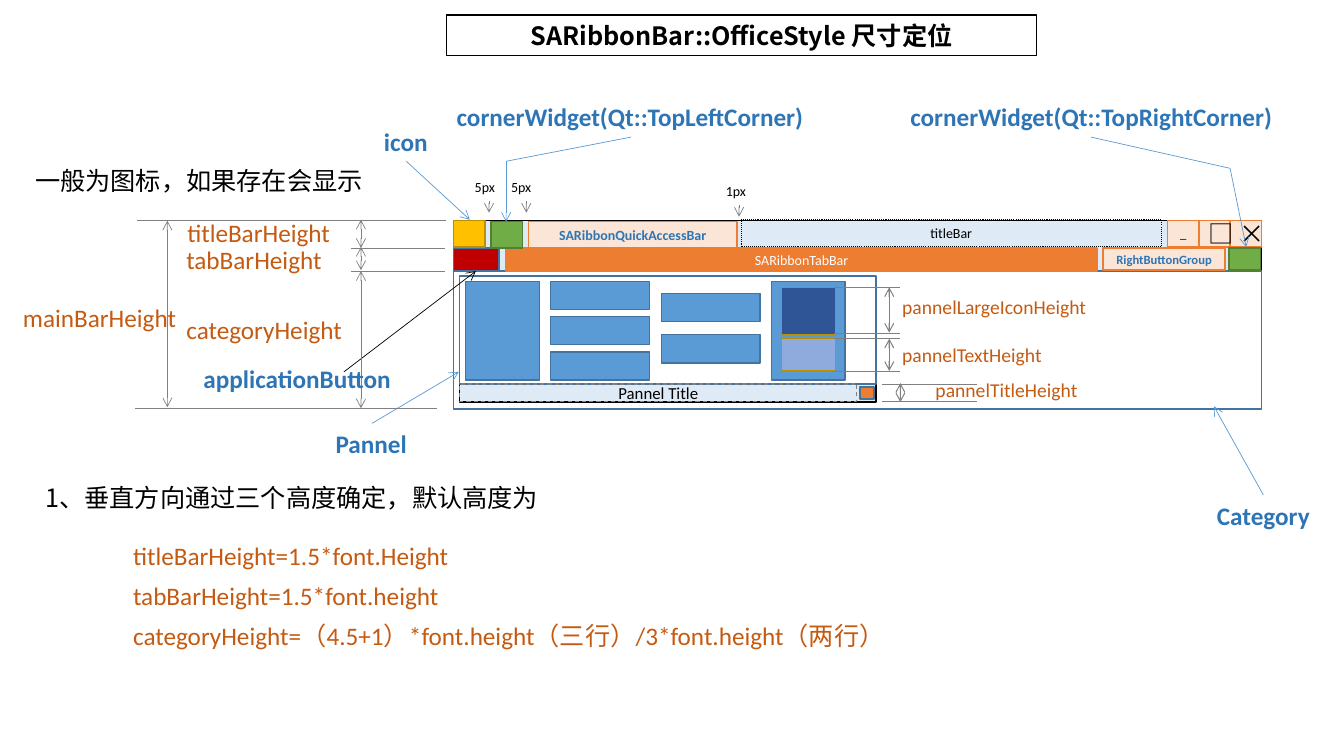
"""Builds the slide that explains the dimensions of SARibbonBar::OfficeStyle."""
from dataclasses import dataclass
from typing import Optional

from lxml.etree import SubElement
from pptx import Presentation
from pptx.dml.color import RGBColor
from pptx.enum.dml import MSO_LINE as Dash
from pptx.enum.shapes import MSO_CONNECTOR as Conn, MSO_SHAPE as Shape
from pptx.enum.text import MSO_ANCHOR as Anchor, MSO_AUTO_SIZE as AutoSize, PP_ALIGN as Align
from pptx.oxml.ns import qn
from pptx.util import Inches, Pt


@dataclass(frozen=True)
class Style:
    size: float
    color: str
    bold: bool = False
    font: str = "Calibri"


@dataclass(frozen=True)
class Theme:
    cjk: str = "Noto Sans CJK SC"
    black: str = "000000"
    white: str = "FFFFFF"
    gray: str = "808080"
    sky: str = "DEEBF7"
    blue: str = "5B9BD5"
    edge: str = "43739E"
    orange: str = "ED7D31"
    peach: str = "FBE5D6"
    red: str = "C00000"
    green: str = "70AD47"
    green_edge: str = "538035"
    gold: str = "FFC000"
    gold_edge: str = "BD8E00"
    navy: str = "2F5597"
    lilac: str = "8FAADC"
    title: Style = Style(18, "000000", True, "Noto Sans CJK SC")
    note: Style = Style(18, "000000", False, "Noto Sans CJK SC")
    callout: Style = Style(18, "2E75B6", True)
    height: Style = Style(18, "C55A11")
    pannel: Style = Style(14, "C55A11")
    gap: Style = Style(10, "000000")
    bar: Style = Style(10, "2E75B6", True)
    group: Style = Style(9, "2E75B6", True)
    tab: Style = Style(10, "FFFFFF")
    caption: Style = Style(12, "000000")
    minimize: Style = Style(9, "000000")


T = Theme()


@dataclass(frozen=True)
class Box:
    x: float
    y: float
    w: float
    h: float
    fill: Optional[str]
    line: str
    text: str = ""
    style: Style = T.gap
    weight: float = 1
    dash: Optional[Dash] = None


@dataclass(frozen=True)
class Label:
    x: float
    y: float
    w: float
    text: str
    style: Style
    h: float = 0.4


@dataclass(frozen=True)
class Line:
    x1: float
    y1: float
    x2: float
    y2: float
    color: str = T.gray
    ends: tuple = ()
    weight: float = 0.5


TO, BOTH = ("tailEnd",), ("headEnd", "tailEnd")

BOXES = [
    Box(4.5, 2.19, 8.01, 1.86, T.sky, T.black),
    Box(4.5, 2.69, 8.01, 1.37, T.white, T.edge),
    Box(4.5, 2.46, 0.45, 0.23, T.red, T.edge),
    Box(5.02, 2.46, 5.86, 0.23, T.orange, T.orange, "SARibbonTabBar", T.tab),
    Box(5.24, 2.2, 2.07, 0.26, T.peach, T.orange, "SARibbonQuickAccessBar", T.bar),
    *[Box(11.58 + 0.31 * i, 2.19, 0.31, 0.26, T.peach, T.orange, sign, style)
      for i, (sign, style) in reversed(list(enumerate(
          [("_", T.minimize), ("□", T.note), ("×", T.note)])))],
    Box(7.35, 2.18, 4.17, 0.27, None, T.black, "titleBar", T.gap, 0.75, Dash.ROUND_DOT),
    Box(4.56, 2.74, 4.13, 1.25, T.sky, T.black),
    Box(4.56, 2.74, 4.13, 1.07, T.white, T.edge),
    Box(8.53, 3.84, 0.14, 0.12, T.orange, T.edge),
    *[Box(x, 2.79, 0.73, 0.98, T.blue, T.edge) for x in (4.62, 7.65)],
    *[Box(x, top + step * i, 0.98, 0.28, T.blue, T.edge)
      for x, top, step, count in ((5.46, 2.79, 0.35, 3), (6.56, 2.91, 0.41, 2))
      for i in range(count)],
    Box(4.56, 3.81, 3.94, 0.17, None, T.gray, "Pannel Title", T.caption, 0.75, Dash.DASH),
    Box(4.5, 2.19, 0.31, 0.26, T.gold, T.gold_edge),
    Box(4.87, 2.2, 0.31, 0.26, T.green, T.green_edge),
    Box(12.19, 2.46, 0.31, 0.22, T.green, T.green_edge),
    Box(10.94, 2.46, 1.21, 0.22, T.peach, T.orange, "RightButtonGroup", T.group),
    Box(7.75, 2.85, 0.54, 0.47, T.navy, T.gold_edge),
    Box(7.75, 3.36, 0.54, 0.32, T.lilac, T.gold_edge),
]

LINES = [
    Line(12.53, 4.91, 12.04, 4.03, T.blue, TO),
    Line(3.41, 3.69, 4.72, 2.69, T.black, TO),
    Line(3.69, 4.2, 4.55, 3.69, T.blue, TO),
    Line(4.03, 1.6, 4.66, 2.18, T.blue, TO),
    Line(6.26, 1.36, 5.02, 1.6, T.blue),
    Line(5.02, 1.6, 5.02, 2.2, T.blue, TO),
    Line(10.82, 1.36, 12.2, 1.67, T.blue),
    Line(12.2, 1.67, 12.36, 2.45, T.blue, TO),
    *[Line(x, y, x, y + 0.12, ends=TO) for x, y in ((4.85, 1.99), (5.22, 1.99), (7.33, 2.03))],
    *[Line(left, y, right, y) for left, right, y in (
        (1.36, 4.42, 2.19), (3.48, 4.41, 2.46), (3.48, 4.41, 2.69), (1.34, 4.33, 4.05))],
    *[Line(x, top, x, bottom, ends=BOTH) for x, top, bottom in (
        (1.66, 2.19, 4.04), (3.58, 2.18, 2.46), (3.58, 2.45, 2.68), (3.58, 2.69, 4.05))],
    *[Line(8.27, y, 8.93, y) for y in (2.85, 3.31, 3.36, 3.68)],
    *[Line(8.75, y, 9.69, y) for y in (3.81, 3.98)],
    *[Line(x, top, x, bottom, ends=BOTH, weight=0.75) for x, top, bottom in (
        (8.82, 2.85, 3.3), (8.82, 3.36, 3.68), (8.93, 3.8, 3.99))],
]

LABELS = [
    Label(11.97, 4.91, 1.12, "Category", T.callout),
    Label(1.92, 3.56, 2.06, "applicationButton", T.callout),
    Label(3.23, 4.2, 0.91, "Pannel", T.callout),
    Label(3.71, 1.2, 0.63, "icon", T.callout),
    Label(4.43, 0.96, 3.65, "cornerWidget(Qt::TopLeftCorner)", T.callout),
    Label(8.93, 0.96, 3.79, "cornerWidget(Qt::TopRightCorner)", T.callout),
    Label(0.25, 1.59, 3.52, "一般为图标，如果存在会显示", T.note),
    Label(0.35, 4.74, 5.21, "1、垂直方向通过三个高度确定，默认高度为", T.note),
    Label(1.76, 2.11, 1.73, "titleBarHeight", T.height),
    Label(1.75, 2.37, 1.73, "tabBarHeight", T.height),
    Label(1.75, 3.07, 1.83, "categoryHeight", T.height),
    Label(0.13, 2.95, 1.73, "mainBarHeight", T.height),
    Label(4.61, 1.72, 0.49, "5px", T.gap, 0.27),
    Label(4.97, 1.72, 0.49, "5px", T.gap, 0.27),
    Label(7.1, 1.76, 0.49, "1px", T.gap, 0.27),
    Label(8.85, 2.88, 2.23, "pannelLargeIconHeight", T.pannel, 0.34),
    Label(8.85, 3.35, 2.23, "pannelTextHeight", T.pannel, 0.34),
    Label(9.18, 3.7, 2.23, "pannelTitleHeight", T.pannel, 0.34),
]

FORMULAS = [
    "titleBarHeight=1.5*font.Height",
    "tabBarHeight=1.5*font.height",
    "categoryHeight=（4.5+1）*font.height（三行）/3*font.height（两行）",
]


def rgb(color: str) -> RGBColor:
    return RGBColor.from_string(color)


def write(p, text: str, style: Style, align: Align = Align.LEFT) -> None:
    p.text, p.alignment = text, align
    f = p.font
    f.size, f.bold, f.name = Pt(style.size), style.bold, style.font
    f.color.rgb = rgb(style.color)
    SubElement(p._p.pPr.find(qn("a:defRPr")), qn("a:ea"), typeface=T.cjk)


def place(sp, x: float, y: float, w: float, h: float) -> None:
    sp.left, sp.top, sp.width, sp.height = map(Inches, (x, y, w, h))


def draw_box(slide, b: Box) -> None:
    sp = slide.shapes.add_shape(Shape.RECTANGLE, *map(Inches, (b.x, b.y, b.w, b.h)))
    sp.shadow.inherit = False
    if b.fill:
        sp.fill.solid()
        sp.fill.fore_color.rgb = rgb(b.fill)
    else:
        sp.fill.background()
    sp.line.color.rgb, sp.line.width = rgb(b.line), Pt(b.weight)
    if b.dash:
        sp.line.dash_style = b.dash
    if b.text:
        write(sp.text_frame.paragraphs[0], b.text, b.style, Align.CENTER)


def draw_line(slide, n: Line) -> None:
    c = slide.shapes.add_connector(Conn.STRAIGHT, *map(Inches, (n.x1, n.y1, n.x2, n.y2)))
    c.line.color.rgb, c.line.width = rgb(n.color), Pt(n.weight)
    pr = c._element.spPr
    for end in n.ends:
        SubElement(pr.find(qn("a:ln")), qn(f"a:{end}"), type="arrow")
    SubElement(pr, qn("a:effectLst"))


def draw_label(slide, n: Label) -> None:
    tf = slide.shapes.add_textbox(*map(Inches, (n.x, n.y, n.w, n.h))).text_frame
    tf.word_wrap = not n.style.bold
    write(tf.paragraphs[0], n.text, n.style)


def fill_title(sp) -> None:
    place(sp, 4.43, 0.15, 5.85, 0.4)
    sp.fill.solid()
    sp.fill.fore_color.rgb = rgb(T.white)
    sp.line.color.rgb, sp.line.width = rgb(T.black), Pt(1)
    sp.text_frame.auto_size = AutoSize.NONE
    write(sp.text_frame.paragraphs[0], "SARibbonBar::OfficeStyle 尺寸定位", T.title, Align.CENTER)


def fill_formulas(sp) -> None:
    place(sp, 1.22, 5.31, 7.82, 1.5)
    tf = sp.text_frame
    tf.auto_size, tf.vertical_anchor = AutoSize.NONE, Anchor.TOP
    for i, formula in enumerate(FORMULAS):
        p = tf.add_paragraph() if i else tf.paragraphs[0]
        p.space_before, p.space_after = Pt(0), Pt(6.8)
        pr = p._p.get_or_add_pPr()
        pr.set("marL", "0")
        pr.set("indent", "0")
        SubElement(pr, qn("a:buNone"))
        write(p, formula, T.height)


def main() -> None:
    prs = Presentation()
    prs.slide_width, prs.slide_height = Inches(13.33), Inches(7.5)
    slide = prs.slides.add_slide(prs.slide_layouts[1])
    fill_title(slide.shapes.title)
    fill_formulas(slide.placeholders[1])
    for items, draw in ((BOXES, draw_box), (LINES, draw_line), (LABELS, draw_label)):
        for item in items:
            draw(slide, item)
    prs.save("out.pptx")


if __name__ == "__main__":
    main()
